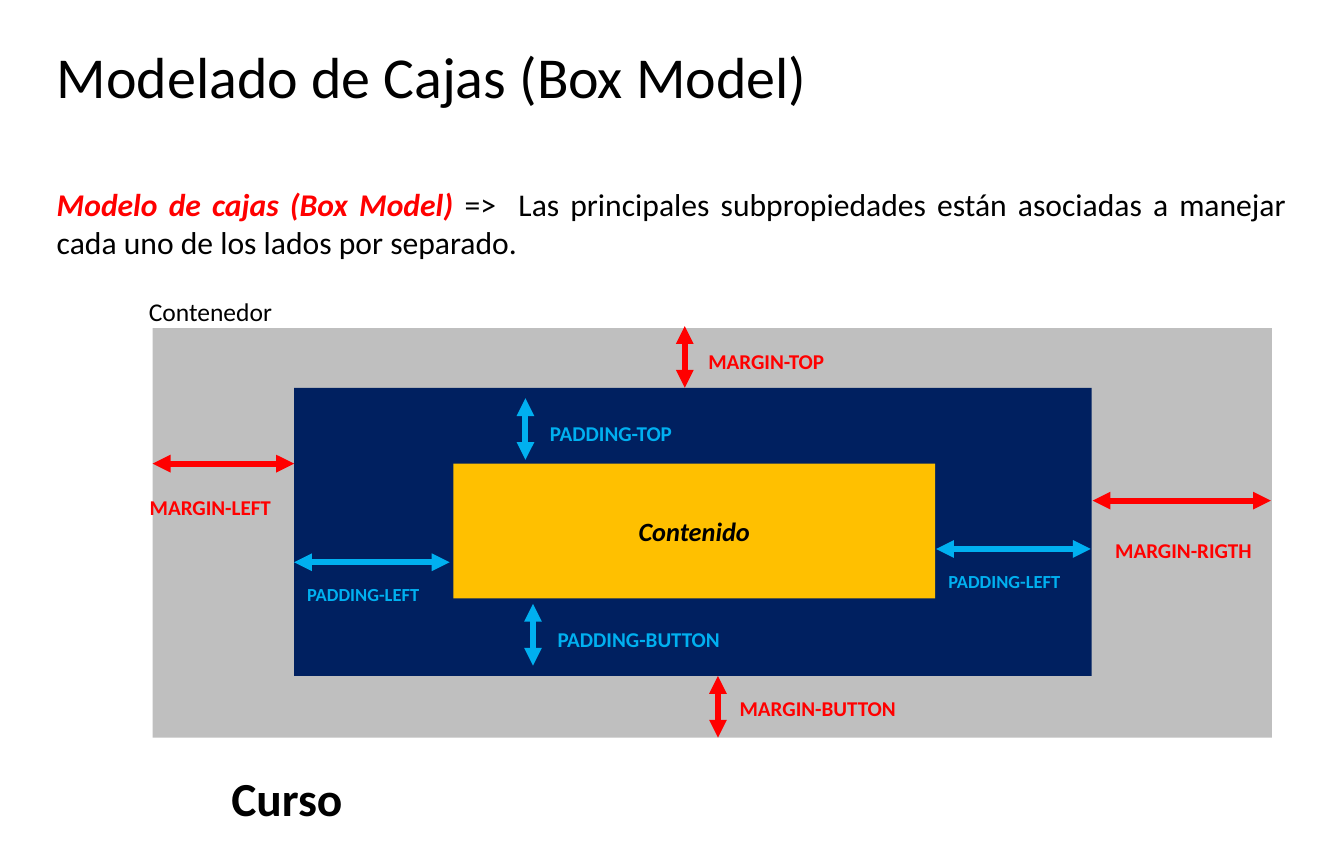
from dataclasses import dataclass

from lxml import etree
from pptx import Presentation
from pptx import util as u
from pptx.dml.color import RGBColor
from pptx.enum import shapes, text
from pptx.oxml import ns

EMU_PER_PX = 9144  # 100 px to the inch


@dataclass(frozen=True)
class Theme:
    font: str = "Calibri"
    ink: str = "000000"
    margin: str = "FF0000"
    padding: str = "00B0F0"
    container: str = "BFBFBF"
    border_box: str = "002060"
    content: str = "FFC000"
    title_size: float = 44
    footer_size: float = 36
    body_size: float = 24
    content_size: float = 20
    caption_size: float = 19.4
    label_size: float = 16
    small_label_size: float = 14
    arrow_width: float = 4.5


THEME = Theme()


@dataclass(frozen=True)
class Area:
    left: int
    top: int
    width: int
    height: int

    def emu(self) -> list[u.Emu]:
        return [px(n) for n in (self.left, self.top, self.width, self.height)]


@dataclass(frozen=True)
class Span:
    words: str
    size: float
    color: str = THEME.ink
    bold: bool = False
    italic: bool = False


@dataclass(frozen=True)
class TextBlock:
    area: Area
    spans: tuple[Span, ...]
    align: text.PP_ALIGN = text.PP_ALIGN.LEFT
    anchor: text.MSO_ANCHOR = text.MSO_ANCHOR.TOP
    wrap: bool = True
    grow: bool = True
    line_spacing: float = 1.0


@dataclass(frozen=True)
class Layer:
    area: Area
    color: str


@dataclass(frozen=True)
class Gap:
    """A double arrow across one side of the box model, with its label."""
    start: tuple[int, int]
    end: tuple[int, int]
    label: str
    label_area: Area
    color: str
    size: float = THEME.label_size


TITLE = TextBlock(
    Area(50, -3, 1316, 175),
    (Span("Modelado de Cajas (Box Model)", THEME.title_size),),
    anchor=text.MSO_ANCHOR.MIDDLE, grow=False, line_spacing=0.9)
INTRO = TextBlock(
    Area(50, 190, 1316, 91),
    (Span("Modelo de cajas (Box Model) ", THEME.body_size, THEME.margin, True, True),
     Span("=>  Las principales subpropiedades están asociadas a manejar "
          "cada uno de los lados por separado.", THEME.body_size)),
    align=text.PP_ALIGN.JUSTIFY)
CAPTION = TextBlock(
    Area(147, 307, 151, 43), (Span("Contenedor", THEME.caption_size),), wrap=False)
FOOTER = TextBlock(
    Area(65, 806, 475, 71), (Span("Curso", THEME.footer_size, bold=True),),
    align=text.PP_ALIGN.CENTER)

LAYERS = (
    Layer(Area(161, 346, 1180, 432), THEME.container),
    Layer(Area(310, 409, 841, 304), THEME.border_box),
)
CONTENT = Layer(Area(478, 489, 508, 142), THEME.content)
CONTENT_TEXT = TextBlock(
    CONTENT.area, (Span("Contenido", THEME.content_size, bold=True, italic=True),),
    align=text.PP_ALIGN.CENTER, anchor=text.MSO_ANCHOR.MIDDLE, grow=False)

GAPS = (
    Gap((722, 344), (722, 409), "MARGIN-TOP", Area(737, 363, 145, 37), THEME.margin),
    Gap((1152, 528), (1340, 528), "MARGIN-RIGTH", Area(1166, 562, 166, 37), THEME.margin),
    Gap((161, 489), (310, 489), "MARGIN-LEFT", Area(148, 517, 150, 37), THEME.margin),
    Gap((757, 713), (757, 778), "MARGIN-BUTTON", Area(770, 729, 187, 37), THEME.margin),
    Gap((310, 593), (474, 593), "PADDING-LEFT", Area(314, 610, 139, 34),
        THEME.padding, THEME.small_label_size),
    Gap((987, 579), (1150, 579), "PADDING-LEFT", Area(990, 596, 139, 34),
        THEME.padding, THEME.small_label_size),
    Gap((554, 420), (554, 485), "PADDING-TOP", Area(570, 439, 152, 37), THEME.padding),
    Gap((562, 637), (562, 702), "PADDING-BUTTON", Area(578, 656, 194, 37), THEME.padding),
)


def px(length: int) -> u.Emu:
    return u.Emu(length * EMU_PER_PX)


def fill_text(shape, block: TextBlock) -> None:
    frame = shape.text_frame
    frame.word_wrap = block.wrap
    frame.vertical_anchor = block.anchor
    frame.auto_size = (text.MSO_AUTO_SIZE.SHAPE_TO_FIT_TEXT if block.grow
                       else text.MSO_AUTO_SIZE.NONE)
    para = frame.paragraphs[0]
    para.alignment = block.align
    para.line_spacing = block.line_spacing
    for span in block.spans:
        run = para.add_run()
        run.text = span.words
        run.font.name = THEME.font
        run.font.size = u.Pt(span.size)
        run.font.bold = span.bold
        run.font.italic = span.italic
        run.font.color.rgb = RGBColor.from_string(span.color)


def add_text(page, block: TextBlock) -> None:
    fill_text(page.shapes.add_textbox(*block.area.emu()), block)


def add_layer(page, layer: Layer):
    box = page.shapes.add_shape(shapes.MSO_SHAPE.RECTANGLE, *layer.area.emu())
    box.shadow.inherit = False
    box.fill.solid()
    box.fill.fore_color.rgb = RGBColor.from_string(layer.color)
    box.line.fill.background()
    return box


def add_gap(page, gap: Gap) -> None:
    arrow = page.shapes.add_connector(
        shapes.MSO_CONNECTOR.STRAIGHT, *map(px, gap.start + gap.end))
    arrow.line.width = u.Pt(THEME.arrow_width)
    arrow.line.color.rgb = RGBColor.from_string(gap.color)
    outline = arrow.line._get_or_add_ln()
    for tip in ("a:headEnd", "a:tailEnd"):
        etree.SubElement(outline, ns.qn(tip), type="triangle")
    etree.SubElement(arrow._element.spPr, ns.qn("a:effectLst"))
    add_text(page, TextBlock(
        gap.label_area, (Span(gap.label, gap.size, gap.color, bold=True),), wrap=False))


def main() -> None:
    deck = Presentation()
    deck.slide_width, deck.slide_height = px(1417), px(906)
    page = deck.slides.add_slide(deck.slide_layouts[6])

    # Title, introduction and footer
    for block in (TITLE, INTRO, FOOTER):
        add_text(page, block)

    # Nested boxes
    for layer in LAYERS:
        add_layer(page, layer)
    fill_text(add_layer(page, CONTENT), CONTENT_TEXT)
    add_text(page, CAPTION)

    # Margins and paddings
    for gap in GAPS:
        add_gap(page, gap)

    deck.save("out.pptx")


if __name__ == "__main__":
    main()
